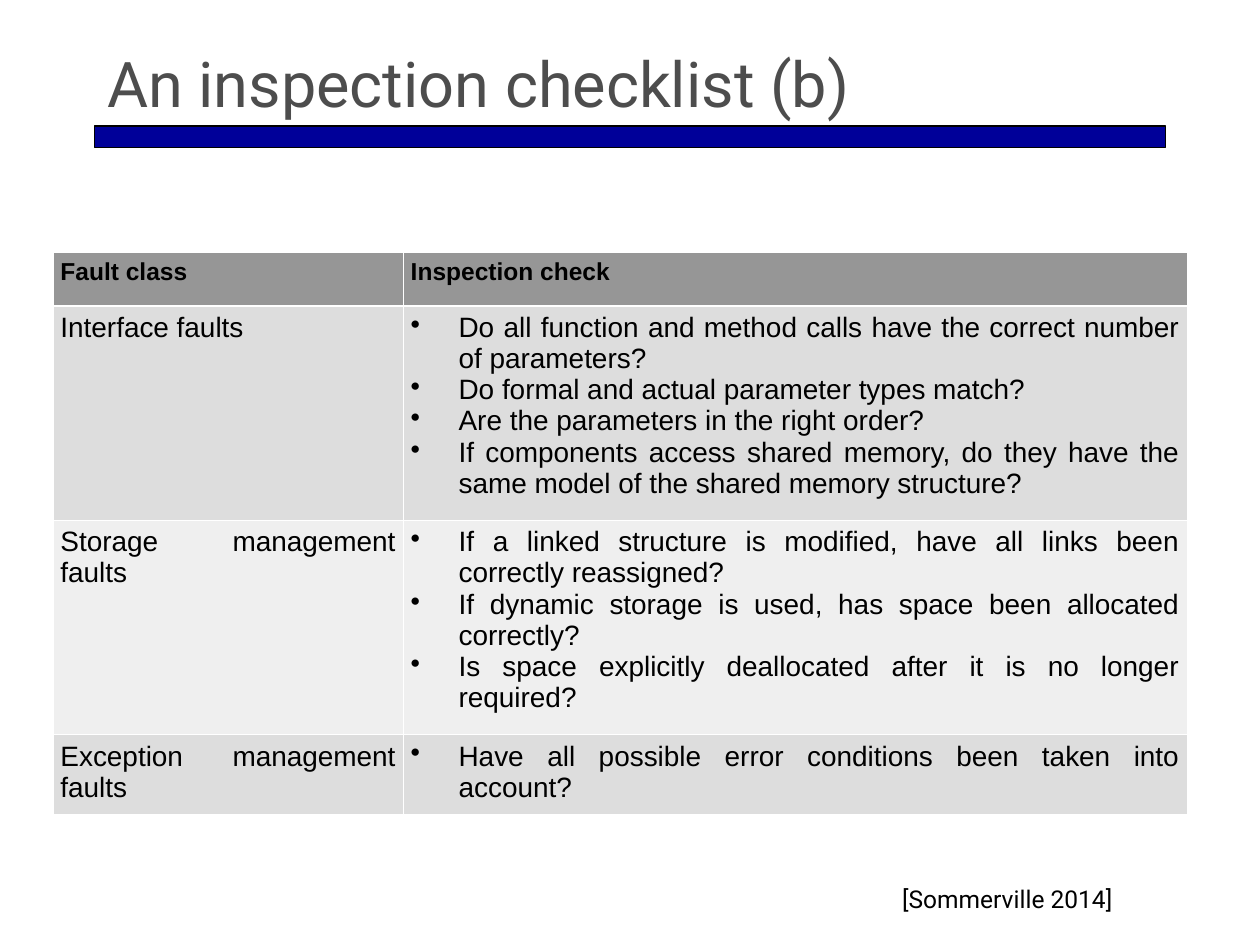
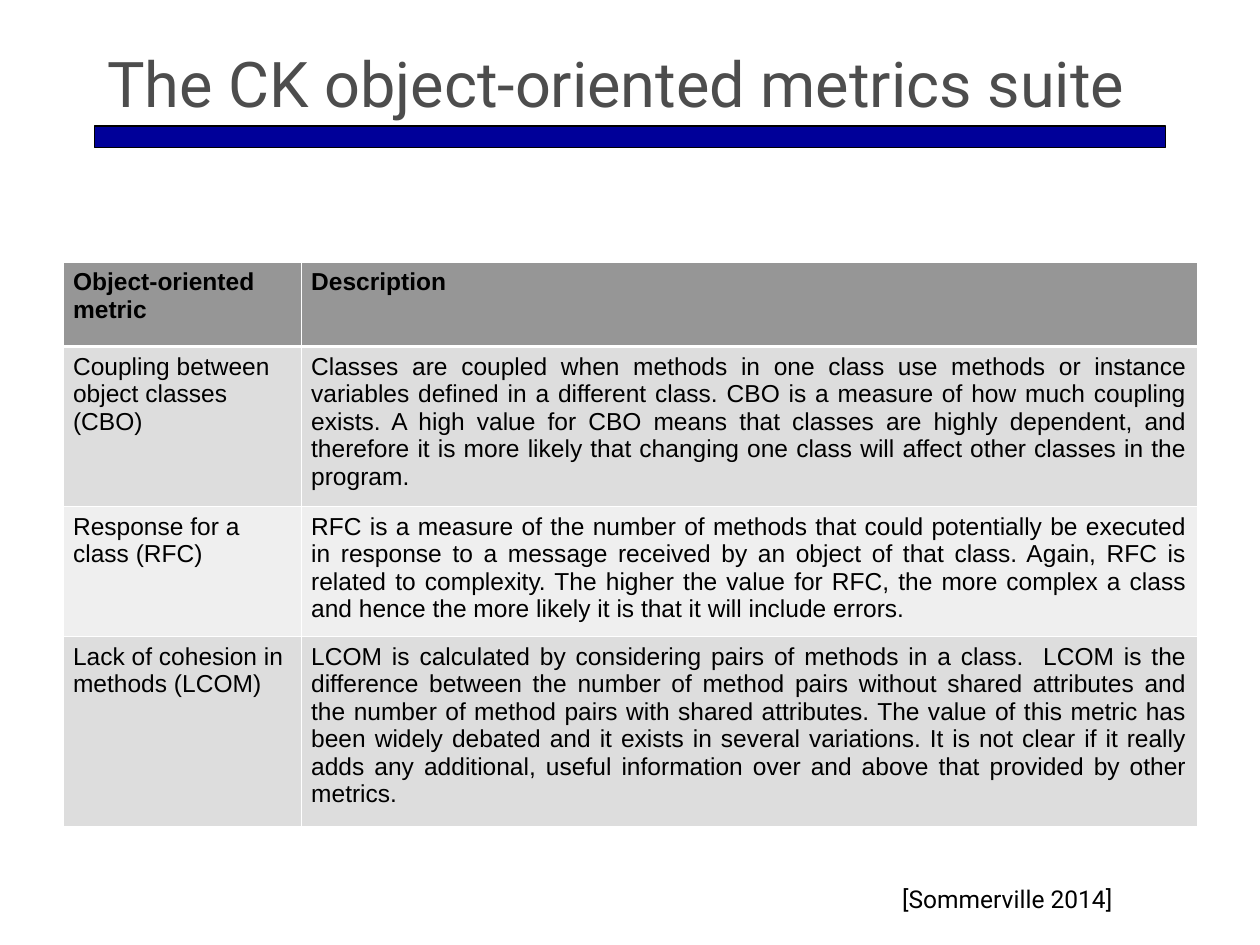
from lxml import etree
from pptx import Presentation
from pptx import util as u
from pptx.dml.color import RGBColor
from pptx.enum import shapes, text
from pptx.oxml import ns

PX = 9144  # EMU per px, 100 px to the inch

# Shared colours and fonts
BLACK = RGBColor(0x00, 0x00, 0x00)
WHITE = RGBColor(0xFF, 0xFF, 0xFF)
NAVY = RGBColor(0x00, 0x00, 0x99)
TITLE_GREY = RGBColor(0x4D, 0x4D, 0x4D)
HEADER_GREY = RGBColor(0x96, 0x96, 0x96)
BANDS = (RGBColor(0xDD, 0xDD, 0xDD), RGBColor(0xEF, 0xEF, 0xEF))
TITLE_FONT, TABLE_FONT = "Roboto", "Arial"

LEFT, JUSTIFY = text.PP_ALIGN.LEFT, text.PP_ALIGN.JUSTIFY
THIN, THICK = 0.45, 1.47  # table rules, in points
BULLET_INDENT = 38

CHECKLIST = [
    ("Fault class", "Inspection check"),
    ("Interface faults", [
        "Do all function and method calls have the correct number of parameters?",
        "Do formal and actual parameter types match?",
        "Are the parameters in the right order?",
        "If components access shared memory, do they have the same model of the "
        "shared memory structure?"]),
    ("Storage management faults", [
        "If a linked structure is modified, have all links been correctly reassigned?",
        "If dynamic storage is used, has space been allocated correctly?",
        "Is space explicitly deallocated after it is no longer required?"]),
    ("Exception management faults", [
        "Have all possible error conditions been taken into account?"]),
]

METRICS = [
    ("Object-oriented metric", "Description"),
    ("Coupling between object classes (CBO)",
     "Classes are coupled when methods in one class use methods or instance variables "
     "defined in a different class. CBO is a measure of how much coupling exists. A high "
     "value for CBO means that classes are highly dependent, and therefore it is more "
     "likely that changing one class will affect other classes in the program."),
    ("Response for a class (RFC)",
     "RFC is a measure of the number of methods that could potentially be executed in "
     "response to a message received by an object of that class. Again, RFC is related to "
     "complexity. The higher the value for RFC, the more complex a class and hence the "
     "more likely it is that it will include errors."),
    ("Lack of cohesion in methods (LCOM)",
     "LCOM is calculated by considering pairs of methods in a class.  LCOM is the "
     "difference between the number of method pairs without shared attributes and the "
     "number of method pairs with shared attributes. The value of this metric has been "
     "widely debated and it exists in several variations. It is not clear if it really "
     "adds any additional, useful information over and above that provided by other "
     "metrics."),
]


def px(*lengths):
    return [u.Emu(n * PX) for n in lengths]


def add_bullet(p):
    pPr = p._p.get_or_add_pPr()
    pPr.set("marL", str(BULLET_INDENT * PX))
    pPr.set("indent", str(-BULLET_INDENT * PX))
    clr = etree.SubElement(pPr, ns.qn("a:buClr"))
    etree.SubElement(clr, ns.qn("a:srgbClr"), val=str(BLACK))
    etree.SubElement(pPr, ns.qn("a:buChar"), char="•")


def write(tf, content, size=14, font=TABLE_FONT, color=BLACK, bold=False, align=LEFT):
    """Write a string as one paragraph, or a list as bullets."""
    bullets = isinstance(content, list)
    for i, line in enumerate(content if bullets else [content]):
        p = tf.add_paragraph() if i else tf.paragraphs[0]
        p.alignment = align
        if bullets:
            add_bullet(p)
        r = p.add_run()
        r.text = line
        r.font.size, r.font.name, r.font.bold = u.Pt(size), font, bold
        r.font.color.rgb = color


def set_borders(cell, **widths):
    tcPr = cell._tc.get_or_add_tcPr()
    for side in "LRTB":
        width = u.Pt(widths.get(side, THIN))
        ln = etree.SubElement(tcPr, ns.qn(f"a:ln{side}"), w=str(int(width)))
        fill = etree.SubElement(ln, ns.qn("a:solidFill"))
        etree.SubElement(fill, ns.qn("a:srgbClr"), val=str(WHITE))


def add_title_slide_frame(prs, title):
    """Add a slide with its title, blue band and source credit."""
    s = prs.slides.add_slide(prs.slide_layouts[5])

    # Blue band under the title
    sp = s.shapes.add_shape(shapes.MSO_SHAPE.RECTANGLE, *px(75, 100, 850, 17))
    sp.shadow.inherit = False
    sp.fill.solid()
    sp.fill.fore_color.rgb = NAVY
    sp.line.color.rgb, sp.line.width = BLACK, u.Pt(0.75)

    # Title
    sp = s.shapes.title
    sp.left, sp.top, sp.width, sp.height = px(75, 33, 850, 67)
    tf = sp.text_frame
    tf.auto_size = text.MSO_AUTO_SIZE.NONE
    tf.vertical_anchor = text.MSO_ANCHOR.BOTTOM
    write(tf, title, size=36, font=TITLE_FONT, color=TITLE_GREY)

    # Source credit
    tf = s.shapes.add_textbox(*px(641, 680, 317, 50)).text_frame
    tf.word_wrap = True
    tf.vertical_anchor = text.MSO_ANCHOR.BOTTOM
    write(tf, "[Sommerville 2014]", font=TITLE_FONT, align=text.PP_ALIGN.CENTER)
    return s


def add_banded_table(s, rows, left, top, col_widths, row_heights, margin,
                     body_size, label_align):
    frame = s.shapes.add_table(len(rows), len(col_widths),
                               *px(left, top, sum(col_widths), sum(row_heights)))
    table = frame.table
    for col, width in zip(table.columns, px(*col_widths)):
        col.width = width
    for row, height in zip(table.rows, px(*row_heights)):
        row.height = height

    for i, row in enumerate(rows):
        header = i == 0
        for j, content in enumerate(row):
            cell = table.cell(i, j)
            cell.margin_left = cell.margin_right = u.Emu(margin * PX)
            cell.margin_top = cell.margin_bottom = u.Emu(5 * PX)
            set_borders(cell, T=THICK if i == 1 else THIN, B=THICK if header else THIN)
            cell.fill.solid()
            cell.fill.fore_color.rgb = HEADER_GREY if header else BANDS[(i - 1) % 2]
            write(cell.text_frame, content, size=14 if header else body_size, bold=header,
                  align=JUSTIFY if header or j else label_align)


def main():
    prs = Presentation()
    prs.slide_width, prs.slide_height = px(1000, 750)

    # Inspection checklist
    s = add_title_slide_frame(prs, "An inspection checklist (b)")
    add_banded_table(s, CHECKLIST, 42, 200, (278, 622), (43, 170, 170, 63),
                     margin=6, body_size=16, label_align=JUSTIFY)

    # Metrics suite
    s = add_title_slide_frame(prs, "The CK object-oriented metrics suite")
    add_banded_table(s, METRICS, 50, 208, (189, 711), (67, 127, 103, 150),
                     margin=8, body_size=14, label_align=LEFT)

    prs.save("out.pptx")


if __name__ == "__main__":
    main()
